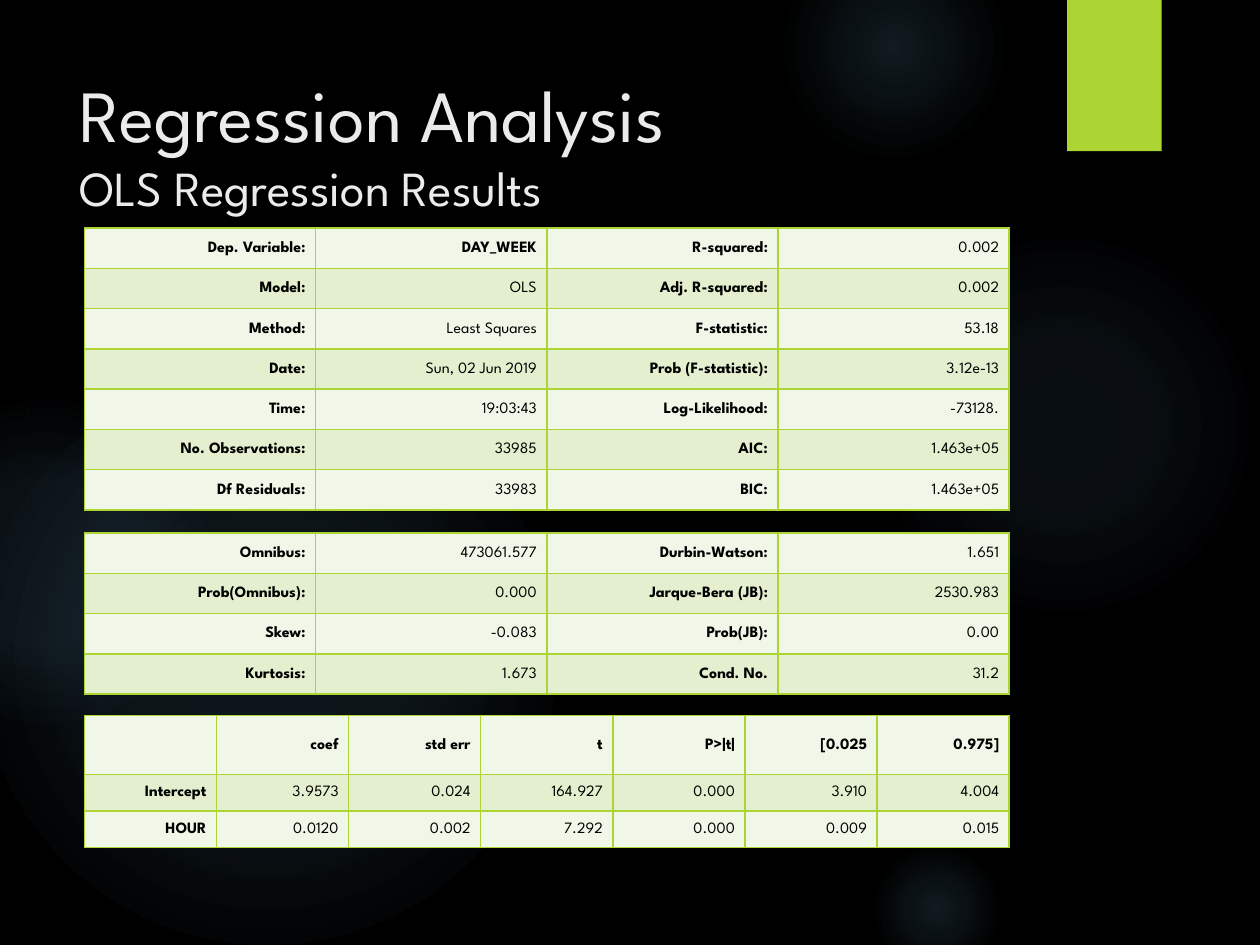
from dataclasses import dataclass

from pptx import Presentation
from pptx import util as u
from pptx.dml.color import RGBColor
from pptx.enum import shapes, text
from pptx.oxml import parse_xml
from pptx.oxml.ns import qn

BLACK = RGBColor(0x00, 0x00, 0x00)
LIME = RGBColor(0xAC, 0xD4, 0x33)
PALE = RGBColor(0xF1, 0xF7, 0xE8)
TINT = RGBColor(0xE3, 0xEF, 0xCE)
SOFT_WHITE = RGBColor(0xEB, 0xEB, 0xEB)
GLOW_BLUE = RGBColor(0x7A, 0xC4, 0xF0)
FONT = "League Spartan"
DRAWING_NS = 'xmlns:a="http://schemas.openxmlformats.org/drawingml/2006/main"'
TABLE_LEFT, TABLE_WIDTH = 0.67, 7.34


@dataclass
class Glow:
    left: float
    top: float
    size: float
    stops: tuple[tuple[int, int], ...]  # (position %, opacity %)


@dataclass
class ResultTable:
    top: float
    row_heights: list[float]
    rows: list[list[str]]
    bold_columns: tuple[int, ...]
    bold_cells: tuple[str, ...] = ()


GLOWS = [
    Glow(6.89, 1.83, 3.08, ((0, 7), (36, 6), (69, 0))),
    Glow(6.22, -0.5, 1.75, ((0, 14), (36, 7), (73, 0))),
    Glow(6.89, 6.67, 1.08, ((0, 14), (36, 7), (66, 0))),
    Glow(-0.17, 2.92, 4.58, ((0, 11), (36, 10), (75, 0))),
    Glow(-0.92, 3.17, 2.58, ((0, 8), (36, 8), (72, 0))),
]

COEFFICIENT_HEADS = ["", "coef", "std err", "t", "P>|t|", "[0.025", "0.975]"]
TABLES = [
    ResultTable(5.68, [0.36, 0.29, 0.29], [
        COEFFICIENT_HEADS,
        ["Intercept", "3.9573", "0.024", "164.927", "0.000", "3.910", "4.004"],
        ["HOUR", "0.0120", "0.002", "7.292", "0.000", "0.009", "0.015"],
    ], (0,), tuple(COEFFICIENT_HEADS)),
    ResultTable(4.23, [0.32] * 4, [
        ["Omnibus:", "473061.577", "Durbin-Watson:", "1.651"],
        ["Prob(Omnibus):", "0.000", "Jarque-Bera (JB):", "2530.983"],
        ["Skew:", "-0.083", "Prob(JB):", "0.00"],
        ["Kurtosis:", "1.673", "Cond. No.", "31.2"],
    ], (0, 2)),
    ResultTable(1.81, [0.32] * 7, [
        ["Dep. Variable:", "DAY_WEEK", "R-squared:", "0.002"],
        ["Model:", "OLS", "Adj. R-squared:", "0.002"],
        ["Method:", "Least Squares", "F-statistic:", "53.18"],
        ["Date:", "Sun, 02 Jun 2019", "Prob (F-statistic):", "3.12e-13"],
        ["Time:", "19:03:43", "Log-Likelihood:", "-73128."],
        ["No. Observations:", "33985", "AIC:", "1.463e+05"],
        ["Df Residuals:", "33983", "BIC:", "1.463e+05"],
    ], (0, 2), ("DAY_WEEK",)),
]


def set_format(target, values: dict) -> None:
    for name, value in values.items():
        setattr(target, name, value)


def set_font(font, size: float, color: RGBColor, bold: bool = False) -> None:
    set_format(font, {"name": FONT, "size": u.Pt(size), "bold": bold})
    font.color.rgb = color


def add_glow(page, glow: Glow) -> None:
    box = page.shapes.add_shape(
        shapes.MSO_SHAPE.OVAL, u.Inches(glow.left), u.Inches(glow.top),
        u.Inches(glow.size), u.Inches(glow.size))
    box.shadow.inherit = False
    box.line.fill.background()
    stops = "".join(
        f'<a:gs pos="{position * 1000}"><a:srgbClr val="{GLOW_BLUE}">'
        f'<a:alpha val="{opacity * 1000}"/></a:srgbClr></a:gs>'
        for position, opacity in glow.stops)
    gradient = parse_xml(
        f'<a:gradFill {DRAWING_NS}><a:gsLst>{stops}</a:gsLst><a:path path="circle">'
        '<a:fillToRect l="50000" t="50000" r="50000" b="50000"/></a:path></a:gradFill>')
    box._element.spPr.find(qn("a:prstGeom")).addnext(gradient)


def add_ribbon(page) -> None:
    ribbon = page.shapes.add_shape(
        shapes.MSO_SHAPE.RECTANGLE, u.Inches(8.47), 0, u.Inches(0.75), u.Inches(1.2))
    ribbon.fill.solid()
    ribbon.fill.fore_color.rgb = LIME
    ribbon.line.fill.background()
    ribbon.shadow.inherit = False
    ribbon._element.spPr.find(qn("a:effectLst")).append(parse_xml(
        f'<a:outerShdw {DRAWING_NS} blurRad="{u.Pt(3)}" dist="{u.Pt(2)}" dir="5400000" '
        f'rotWithShape="0"><a:srgbClr val="{BLACK}"><a:alpha val="45000"/>'
        '</a:srgbClr></a:outerShdw>'))


def format_title(page) -> None:
    title = page.shapes.title
    set_format(title, {"left": u.Inches(0.53), "top": u.Inches(0.5),
                       "width": u.Inches(7.72), "height": u.Inches(1.53)})
    set_format(title.text_frame, {"word_wrap": True, "vertical_anchor": text.MSO_ANCHOR.TOP})
    para = title.text_frame.paragraphs[0]
    para.alignment = text.PP_ALIGN.LEFT
    span = para.add_run()
    span.text = "Regression Analysis"
    set_font(span.font, 42, SOFT_WHITE)
    para.add_line_break()
    span = para.add_run()
    span.text = "OLS Regression Results"
    set_font(span.font, 28, SOFT_WHITE)
    # Bring the title in front of the background shapes
    page.shapes._spTree.append(title._element)


def add_borders(cell) -> None:
    properties = cell._tc.get_or_add_tcPr()
    for index, side in enumerate(("lnL", "lnR", "lnT", "lnB")):
        properties.insert(index, parse_xml(
            f'<a:{side} {DRAWING_NS} w="{u.Pt(1)}"><a:solidFill>'
            f'<a:srgbClr val="{LIME}"/></a:solidFill></a:{side}>'))


def fill_cell(cell, words: str, fill: RGBColor, bold: bool) -> None:
    margins = ("margin_left", "margin_right", "margin_top", "margin_bottom")
    set_format(cell, dict.fromkeys(margins, u.Inches(0.08)))
    cell.vertical_anchor = text.MSO_ANCHOR.MIDDLE
    cell.fill.solid()
    cell.fill.fore_color.rgb = fill
    para = cell.text_frame.paragraphs[0]
    set_format(para, {"alignment": text.PP_ALIGN.RIGHT, "line_spacing": 1.07,
                      "space_after": u.Pt(12)})
    if words:
        span = para.add_run()
        span.text = words
        set_font(span.font, 9, BLACK, bold)
    add_borders(cell)


def add_results(page, results: ResultTable) -> None:
    column_count = len(results.rows[0])
    table = page.shapes.add_table(
        len(results.rows), column_count, u.Inches(TABLE_LEFT), u.Inches(results.top),
        u.Inches(TABLE_WIDTH), u.Inches(sum(results.row_heights))).table
    set_format(table, {"first_row": False, "horz_banding": False})
    for column in table.columns:
        column.width = u.Inches(TABLE_WIDTH / column_count)
    for r, (height, row) in enumerate(zip(results.row_heights, results.rows)):
        table.rows[r].height = u.Inches(height)
        for c, words in enumerate(row):
            bold = c in results.bold_columns or words in results.bold_cells
            fill_cell(table.cell(r, c), words, TINT if r % 2 else PALE, bold)


def main() -> None:
    deck = Presentation()
    set_format(deck, {"slide_width": u.Inches(10), "slide_height": u.Inches(7.5)})
    page = deck.slides.add_slide(deck.slide_layouts[5])
    page.background.fill.solid()
    page.background.fill.fore_color.rgb = BLACK

    # Background glows and corner ribbon
    for glow in GLOWS:
        add_glow(page, glow)
    add_ribbon(page)

    # Title and result tables
    format_title(page)
    for results in TABLES:
        add_results(page, results)

    deck.save("out.pptx")


if __name__ == "__main__":
    main()
